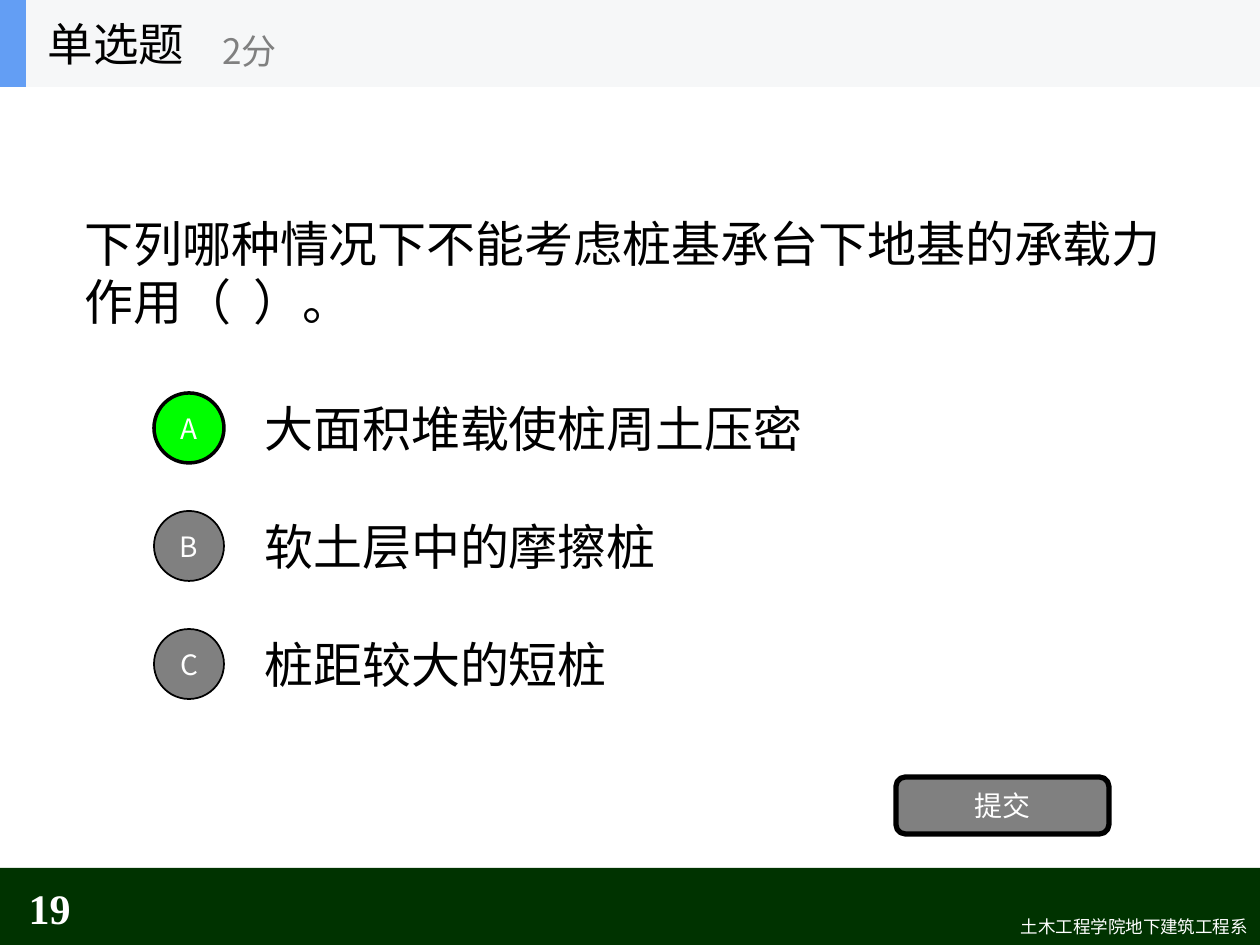
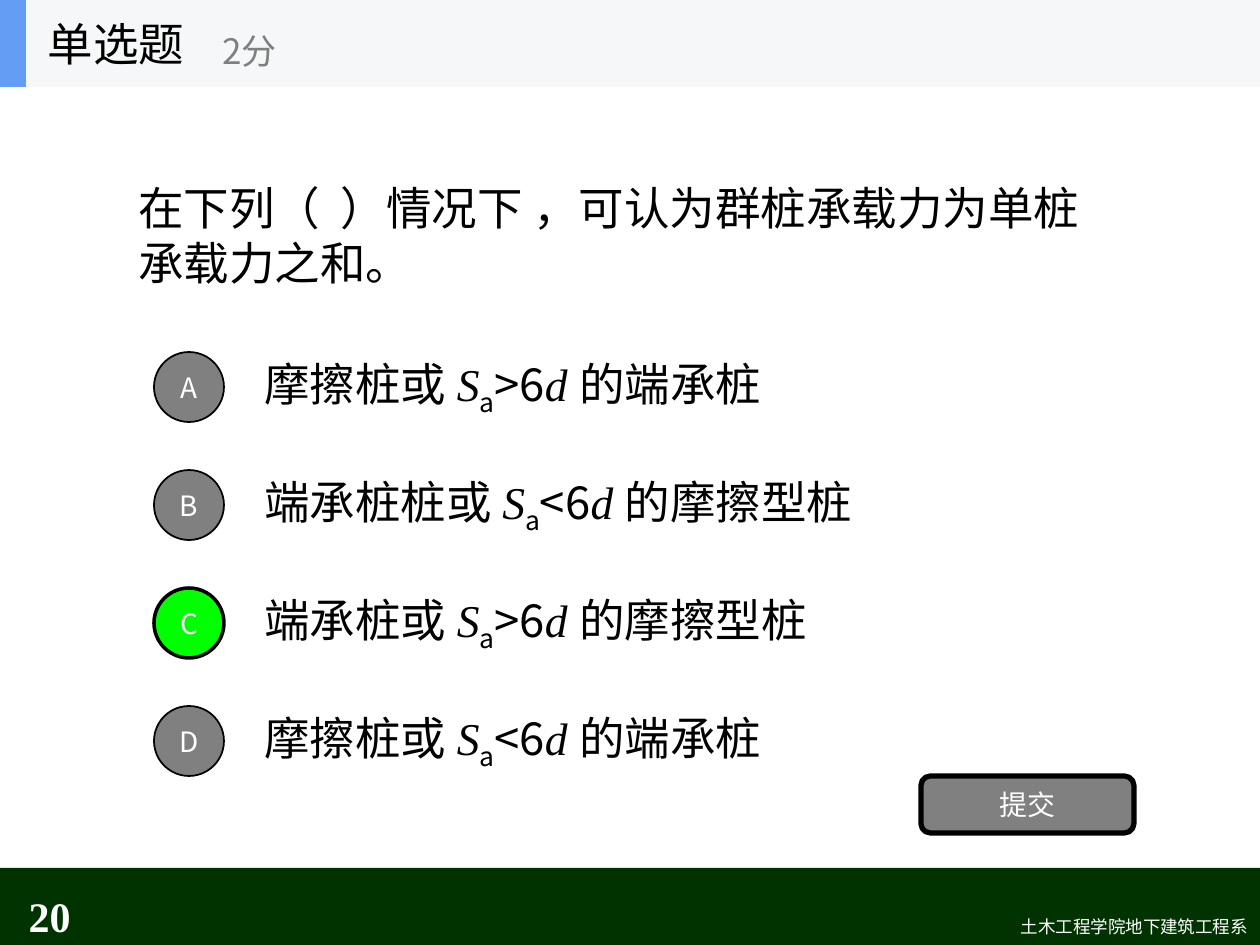
from pptx import Presentation
from pptx import util as u
from pptx.dml.color import RGBColor
from pptx.enum import shapes, text

SCALE = u.Inches(1) / 126
SANS, SERIF = "Noto Sans CJK SC", "Times New Roman"
BLACK, WHITE, GREY, CORRECT = "000000", "FFFFFF", "808080", "00FF00"
HEADER, ACCENT, FOOTER = "F6F7F8", "639EF4", "003300"
KIND, ALIGN = shapes.MSO_SHAPE, text.PP_ALIGN
PITCH = 118


def box(slide, x, y, w, h, kind=None, fill=None, line=0):
    place = [u.Emu(round(v * SCALE)) for v in (x, y, w, h)]
    if kind is None:
        return slide.shapes.add_textbox(*place)
    shape = slide.shapes.add_shape(kind, *place)
    shape.shadow.inherit = False
    shape.fill.solid()
    shape.fill.fore_color.rgb = RGBColor.from_string(fill)
    if line:
        shape.line.color.rgb = RGBColor.from_string(BLACK)
        shape.line.width = u.Pt(line)
    else:
        shape.line.fill.background()
    return shape


def write(shape, words, size, color=BLACK, font=SANS, align=ALIGN.LEFT, bold=False):
    frame = shape.text_frame
    frame.word_wrap = True
    frame.auto_size = text.MSO_AUTO_SIZE.NONE
    frame.vertical_anchor = text.MSO_ANCHOR.MIDDLE
    paragraph = frame.paragraphs[0]
    paragraph.alignment = align
    paragraph.font.size = u.Pt(size)
    paragraph.font.bold = bold
    paragraph.font.color.rgb = RGBColor.from_string(color)
    pieces = [(words, "")] if isinstance(words, str) else words
    if len(pieces) == 1:
        paragraph.font.name = font
    for piece, style in pieces:
        run = paragraph.add_run()
        run.text = piece
        if style == "italic":
            run.font.italic = True
        if len(pieces) > 1:
            run.font.name = SERIF if style == "italic" else font
        if style == "sub":
            run.font._element.set("baseline", "-25000")


def spaced_piles(kind, sign, rest):
    return [(kind + " ", ""), ("S", "italic"), ("a", "sub"),
            (sign + "6", ""), ("d ", "italic"), (rest, "")]


questions = [
    dict(number="19", number_top=883, size=28, font=SERIF,
         question="下列哪种情况下不能考虑桩基承台下地基的承载力作用（  ）。",
         question_at=(72, 183, 1116, 178), options_top=384, answer="A", submit_at=(896, 777),
         options=["大面积堆载使桩周土压密", "软土层中的摩擦桩", "桩距较大的短桩"]),
    dict(number="20", number_top=891, size=26, font=SANS,
         question="在下列（  ）情况下 ，可认为群桩承载力为单桩承载力之和。",
         question_at=(126, 87, 1008, 295), options_top=343, answer="C", submit_at=(921, 776),
         options=[spaced_piles("摩擦桩或", ">", "的端承桩"),
                  spaced_piles("端承桩桩或", "<", "的摩擦型桩"),
                  spaced_piles("端承桩或", ">", "的摩擦型桩"),
                  spaced_piles("摩擦桩或", "<", "的端承桩")]),
]

prs = Presentation()
prs.slide_width, prs.slide_height = u.Inches(10), u.Inches(7.5)

for quiz in questions:
    slide = prs.slides.add_slide(prs.slide_layouts[5])

    box(slide, 0, 868, 1260, 77, KIND.RECTANGLE, FOOTER)
    write(box(slide, 530, 910, 730, 34), "土木工程学院地下建筑工程系", 10, WHITE, align=ALIGN.RIGHT)
    write(box(slide, 0, quiz["number_top"], 83, 50), quiz["number"], 24, WHITE, SERIF,
          ALIGN.RIGHT, True)

    write(box(slide, *quiz["question_at"]), quiz["question"], quiz["size"], font=quiz["font"])

    for row, (letter, option) in enumerate(zip("ABCD", quiz["options"])):
        top = quiz["options_top"] + row * PITCH
        write(box(slide, 252, top, 882, 88), option, quiz["size"], font=quiz["font"])
        chosen = letter == quiz["answer"]
        badge = box(slide, 154, top + 9, 70, 70, KIND.OVAL,
                    CORRECT if chosen else GREY, 2 if chosen else 1)
        write(badge, letter, 16, WHITE, align=ALIGN.CENTER)

    submit = box(slide, *quiz["submit_at"], 213, 57, KIND.ROUNDED_RECTANGLE, GREY, 3)
    write(submit, "提交", 16, WHITE, align=ALIGN.CENTER)

    box(slide, 0, 0, 1260, 87, KIND.RECTANGLE, HEADER)
    box(slide, 0, 0, 26, 87, KIND.RECTANGLE, ACCENT)
    title = slide.shapes.title
    title.left, title.top, title.width, title.height = [
        u.Emu(round(v * SCALE)) for v in (35, 0, 262, 87)]
    write(title, "单选题", 26)
    slide.shapes._spTree.append(title._element)
    write(box(slide, 210, 15, 315, 71), "2分", 20, GREY)

prs.save("out.pptx")
